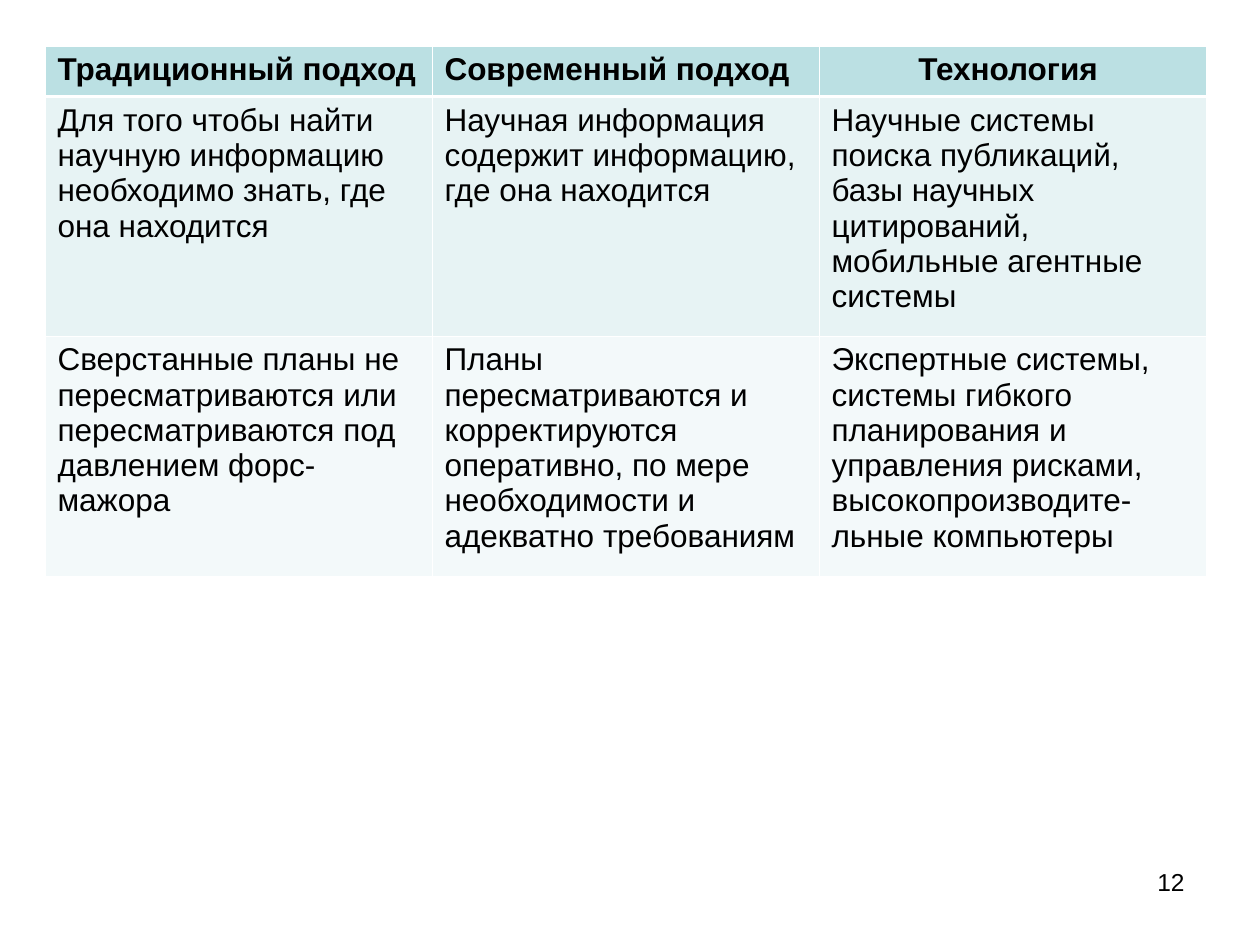
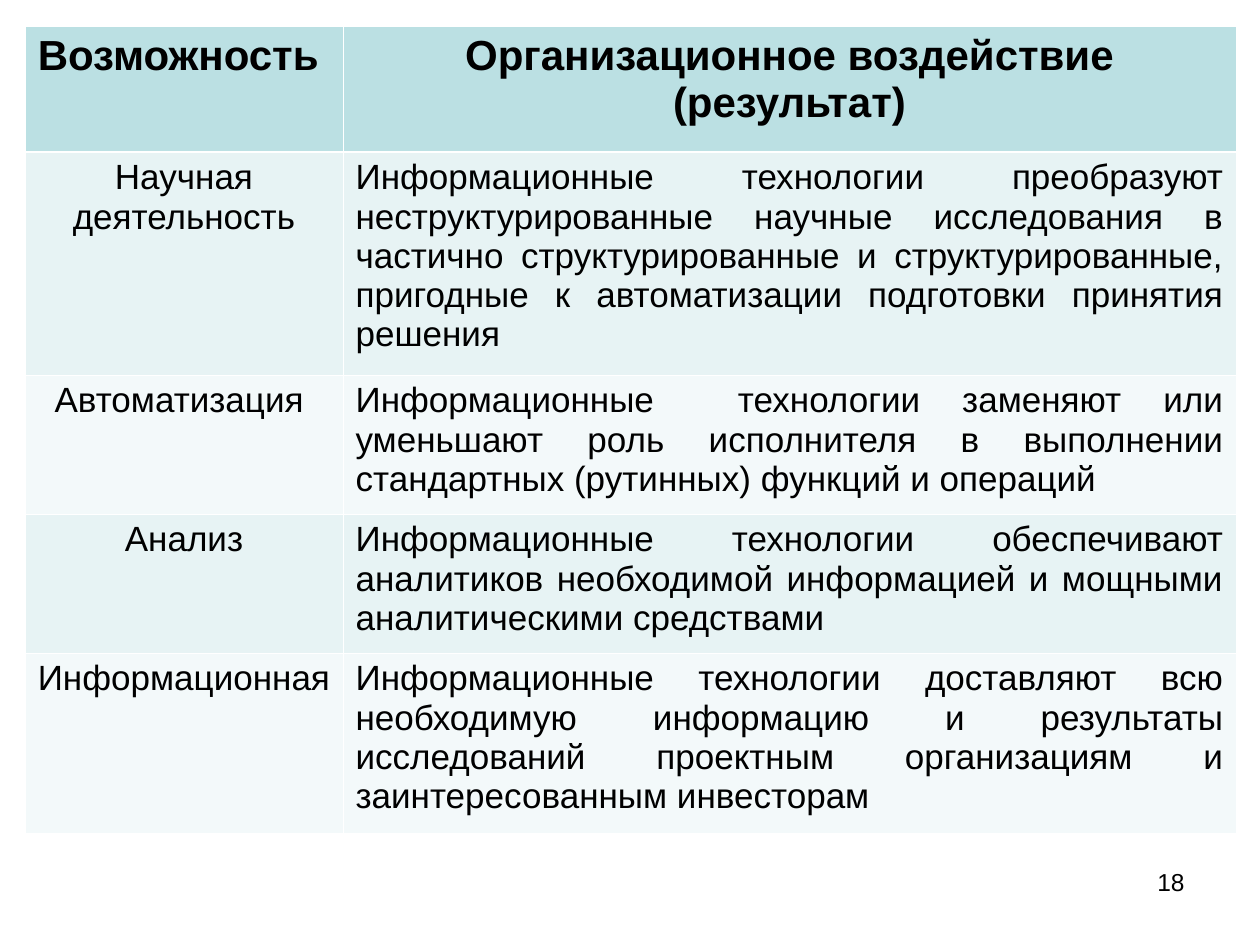
from pptx import Presentation
from pptx.dml.color import RGBColor
from pptx.enum.text import PP_ALIGN
from pptx.oxml import parse_xml
from pptx.oxml.ns import nsdecls
from pptx.util import Pt

HUES = {"head": "BBE0E3", "odd": "E7F3F4", "even": "F3F9FA", "line": "FFFFFF", "text": "000000"}
FONT = "Arial"
THIN, THICK = Pt(0.45), Pt(1.47)
LEFT, MID, RIGHT, JUST = PP_ALIGN.LEFT, PP_ALIGN.CENTER, PP_ALIGN.RIGHT, PP_ALIGN.JUSTIFY


def px(n):
    return round(n * 914400 / 126)


def write(frame, text, size, align, bold=False):
    frame.text = text
    para = frame.paragraphs[0]
    para.alignment = align
    for run in para.runs:
        run.font.name = FONT
        run.font.size = Pt(size)
        run.font.bold = bold
        run.font.color.rgb = RGBColor.from_string(HUES["text"])


PAGES = [
    {
        "num": "12", "left": 45, "top": 46,
        "cols": [387, 387, 387], "rows": [50, 239, 240],
        "sizes": (18, 18),
        "heads": [LEFT, LEFT, MID], "aligns": [LEFT, LEFT, LEFT],
        "cells": [
            ["Традиционный подход", "Современный подход", "Технология "],
            ["Для того чтобы найти научную информацию необходимо знать, где она находится",
             "Научная информация содержит информацию, где она находится",
             "Научные системы поиска публикаций, базы научных цитирований, мобильные агентные системы"],
            ["Сверстанные планы не пересматриваются или пересматриваются под давлением форс-мажора",
             "Планы пересматриваются и корректируются оперативно, по мере необходимости и адекватно требованиям",
             "Экспертные системы, системы гибкого планирования и управления рисками, "
             "высокопроизводите-льные компьютеры"],
        ],
    },
    {
        "num": "18", "left": 25, "top": 26,
        "cols": [318, 893], "rows": [126, 223, 139, 139, 180],
        "sizes": (24, 20),
        "heads": [MID, MID], "aligns": [MID, JUST],
        "cells": [
            ["Возможность ", "Организационное воздействие (результат)"],
            ["Научная деятельность",
             "Информационные технологии преобразуют неструктурированные научные исследования "
             "в частично структурированные и структурированные, пригодные к автоматизации "
             "подготовки принятия решения"],
            ["Автоматизация ",
             "Информационные  технологии заменяют или уменьшают роль исполнителя в выполнении "
             "стандартных (рутинных) функций и операций"],
            ["Анализ",
             "Информационные технологии обеспечивают аналитиков необходимой информацией "
             "и мощными аналитическими средствами"],
            ["Информационная ",
             "Информационные технологии доставляют всю необходимую информацию и результаты "
             "исследований проектным организациям и заинтересованным инвесторам"],
        ],
    },
]

deck = Presentation()
deck.slide_width, deck.slide_height = px(1260), px(945)

for page in PAGES:
    slide = deck.slides.add_slide(deck.slide_layouts[6])
    box = slide.shapes.add_textbox(px(903), px(861), px(294), px(65))
    box.text_frame.word_wrap = True
    write(box.text_frame, page["num"], 14, RIGHT)

    cols, rows = page["cols"], page["rows"]
    table = slide.shapes.add_table(
        len(rows), len(cols), px(page["left"]), px(page["top"]), px(sum(cols)), px(sum(rows))
    ).table
    for col, width in zip(table.columns, cols):
        col.width = px(width)
    for row, height in zip(table.rows, rows):
        row.height = px(height)

    for r, texts in enumerate(page["cells"]):
        head = r == 0
        hue = "head" if head else "odd" if r % 2 else "even"
        aligns = page["heads"] if head else page["aligns"]
        size = page["sizes"][0 if head else 1]
        edges = {"L": THIN, "R": THIN, "T": THICK if r == 1 else THIN, "B": THICK if head else THIN}
        for c, text in enumerate(texts):
            cell = table.cell(r, c)
            write(cell.text_frame, text, size, aligns[c], head)
            cell.fill.solid()
            cell.fill.fore_color.rgb = RGBColor.from_string(HUES[hue])
            props = cell._tc.get_or_add_tcPr()
            for i, (side, width) in enumerate(edges.items()):
                props.insert(i, parse_xml(
                    f'<a:ln{side} {nsdecls("a")} w="{int(width)}"><a:solidFill>'
                    f'<a:srgbClr val="{HUES["line"]}"/></a:solidFill></a:ln{side}>'
                ))

deck.save("out.pptx")
